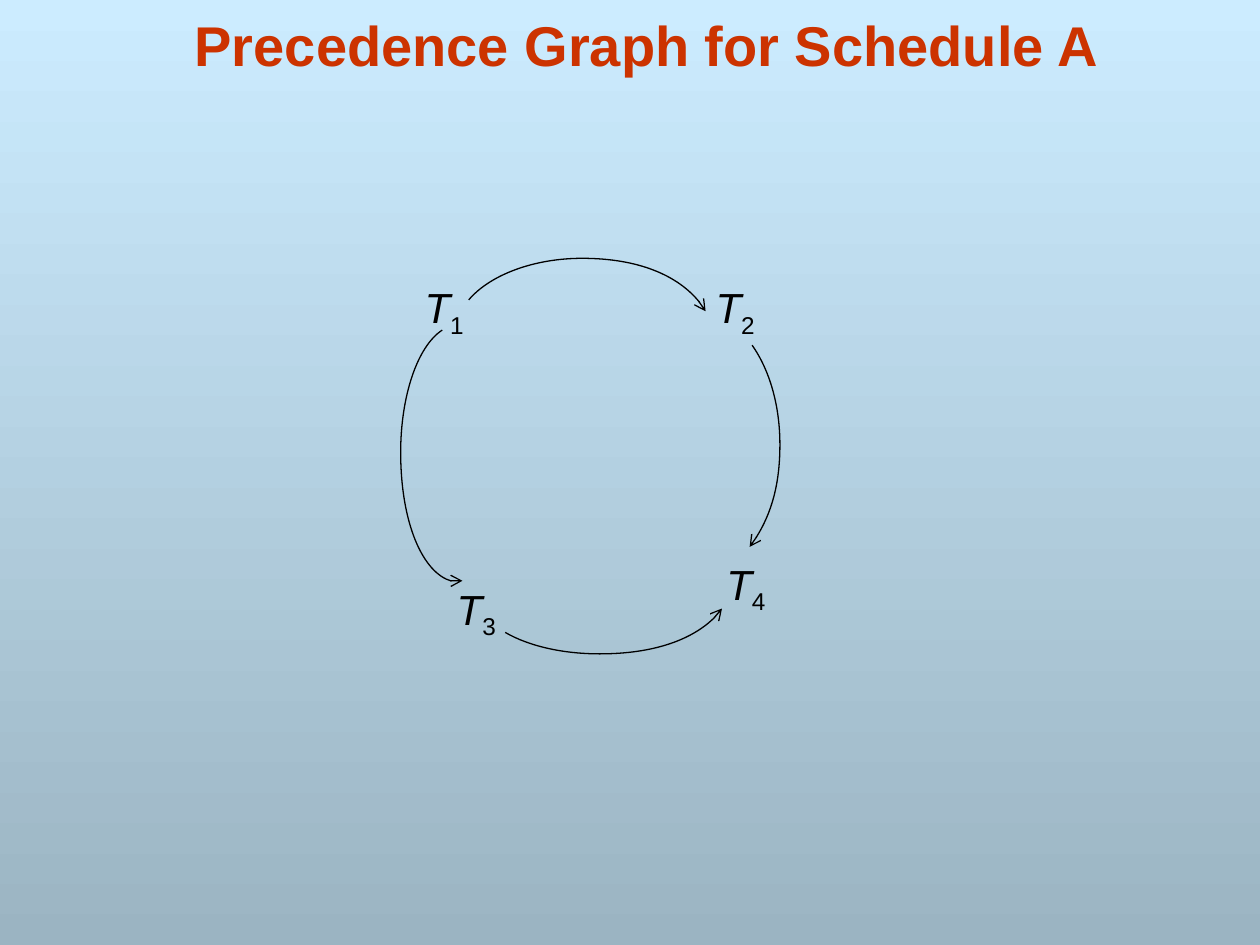
from pptx import Presentation
from pptx.dml.color import RGBColor
from pptx.enum.text import MSO_ANCHOR, PP_ALIGN
from pptx.oxml.ns import qn
from pptx.oxml.xmlchemy import OxmlElement
from pptx.util import Inches, Pt

CELL = Inches(10) // 100
INK = "000000"
TITLE_BOX = (7.2, 0, 88.3, 6.7)
GRAPH_BOX = (30, 20, 35, 33)
NODE_SIZE = (6, 5.6)
NODES = {"1": (2.25, 1.85), "2": (25.35, 1.85), "3": (4.8, 25.75), "4": (26.2, 23.8)}
ARC_ONE_TO_TWO = [(26, 4.7), (24.6, 2.2), (20.7, 0.5), (16.2, 0.5),
                  (12.4, 0.5), (8.9, 1.8), (7.2, 3.8)]
ARC_ONE_TO_THREE = [(6.7, 26.1), (6.6, 26.2), (6.5, 26.2), (6.4, 26.2),
                    (3.9, 26.2), (1.8, 21.6), (1.8, 15.9),
                    (1.8, 11.5), (3.1, 7.5), (5.1, 6.2)]
ARC_TWO_TO_FOUR = [(29.5, 23.4), (31, 21.5), (31.9, 18.5), (31.9, 15.3),
                   (31.9, 12.2), (31.1, 9.4), (29.7, 7.4)]
ARC_THREE_TO_FOUR = [(27.3, 28.3), (25.9, 30.4), (22, 31.9), (17.6, 31.9),
                     (14.7, 31.9), (12, 31.3), (10.1, 30.2)]
ARCS = (ARC_ONE_TO_TWO, ARC_ONE_TO_THREE, ARC_TWO_TO_FOUR, ARC_THREE_TO_FOUR)


def color(value):
    """Turn a hex string into a colour."""
    return RGBColor.from_string(value)


def cells(*counts):
    """Turn counts of grid cells into lengths."""
    return [round(count * CELL) for count in counts]


def paint_background(page, top, bottom):
    """Fill the page with a gradient running downwards."""
    fill = page.background.fill
    fill.gradient()
    fill.gradient_angle = 270
    for stop, position, value in zip(fill.gradient_stops, (0, 1), (top, bottom)):
        stop.position = position
        stop.color.rgb = color(value)


def add_text(page, box, anchor, size, value):
    """Add an empty centred text box and return its paragraph."""
    frame = page.shapes.add_textbox(*cells(*box)).text_frame
    frame.word_wrap = True
    frame.vertical_anchor = anchor
    para = frame.paragraphs[0]
    para.alignment = PP_ALIGN.CENTER
    para.font.name = "Arial"
    para.font.size = Pt(size)
    para.font.color.rgb = color(value)
    return para


def add_title(page, box, text):
    """Place the slide title in its box."""
    para = add_text(page, box, MSO_ANCHOR.BOTTOM, 32, "CC3300")
    para.font.bold = True
    para.add_run().text = text


def add_node(page, box, number):
    """Place a transaction label with its subscript."""
    para = add_text(page, box, MSO_ANCHOR.MIDDLE, 24, INK)
    letter, subscript = para.add_run(), para.add_run()
    letter.text, subscript.text = "T", number
    letter.font.italic = True
    subscript.font._element.set("baseline", "-25000")


def add_arc(page, points):
    """Draw Bezier curves through the points, with an arrowhead at the first."""
    start, *rest = [cells(*point) for point in points]
    builder = page.shapes.build_freeform(*start)
    builder.add_line_segments(rest, close=False)
    arc = builder.convert_to_shape()
    arc.shadow.inherit = False
    arc.fill.background()
    arc.line.color.rgb = color(INK)
    arc.line.width = Pt(0.75)
    segments = list(arc.element.iter(qn("a:lnTo")))
    for first in range(0, len(segments), 3):
        curve = OxmlElement("a:cubicBezTo")
        segments[first].addprevious(curve)
        for segment in segments[first:first + 3]:
            curve.append(segment[0])
            segment.getparent().remove(segment)
    arrowhead = OxmlElement("a:headEnd")
    arrowhead.set("type", "arrow")
    arc.element.spPr.get_or_add_ln().append(arrowhead)


def add_graph(page, box):
    """Place the precedence graph relative to its box."""
    left, top = box[:2]
    for points in ARCS:
        add_arc(page, [(left + x, top + y) for x, y in points])
    for number, (x, y) in NODES.items():
        add_node(page, (left + x, top + y, *NODE_SIZE), number)


def main():
    """Build and save the deck."""
    deck = Presentation()
    deck.slide_width, deck.slide_height = cells(100, 75)
    page = deck.slides.add_slide(deck.slide_layouts[6])
    paint_background(page, "CCECFF", "9BB4C2")
    add_title(page, TITLE_BOX, "Precedence Graph for Schedule A")
    add_graph(page, GRAPH_BOX)
    deck.save("out.pptx")


if __name__ == "__main__":
    main()
